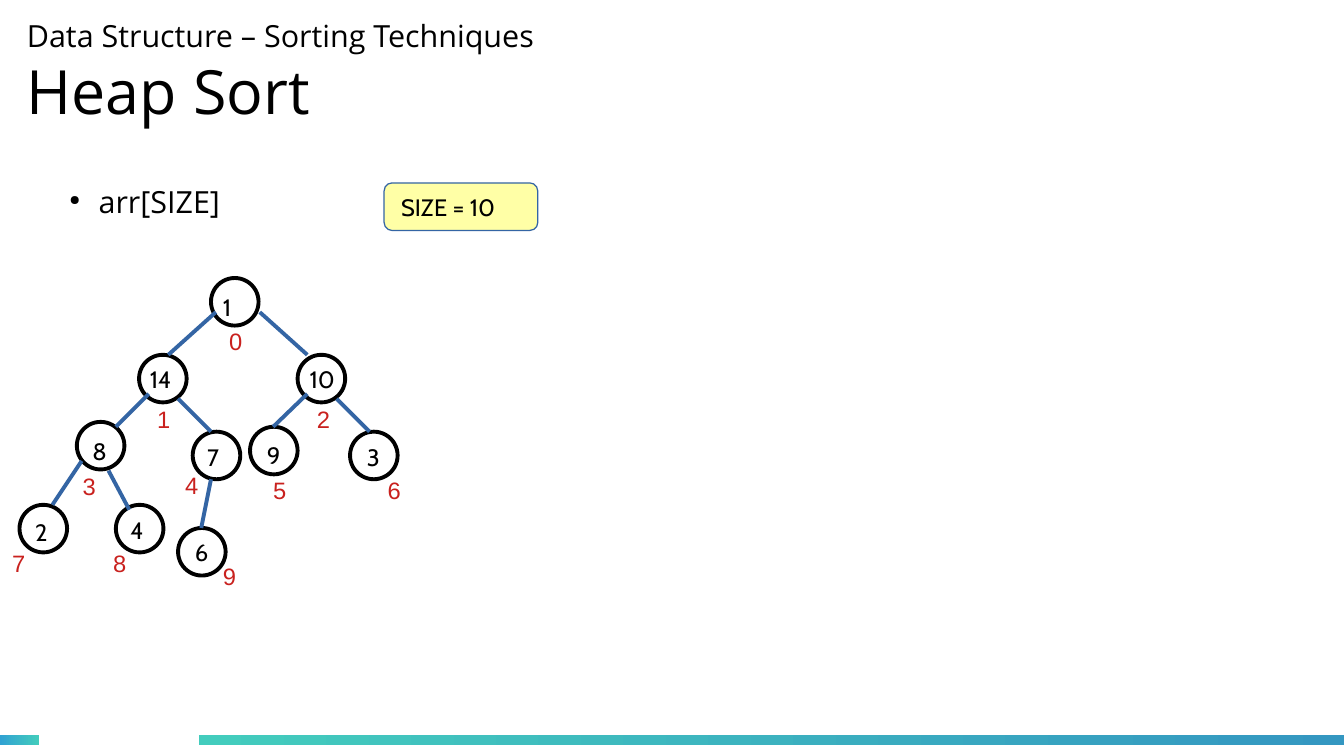
from lxml import etree
from pptx import Presentation
from pptx.dml.color import RGBColor
from pptx.enum.shapes import MSO_CONNECTOR, MSO_SHAPE
from pptx.enum.text import MSO_ANCHOR, MSO_AUTO_SIZE, PP_ALIGN
from pptx.oxml.ns import qn
from pptx.util import Inches, Pt

RECT, ROUNDED, OVAL = MSO_SHAPE.RECTANGLE, MSO_SHAPE.ROUNDED_RECTANGLE, MSO_SHAPE.OVAL
STRAIGHT = MSO_CONNECTOR.STRAIGHT
MIDDLE, LEFT = MSO_ANCHOR.MIDDLE, PP_ALIGN.LEFT
NO_FIT, GROW = MSO_AUTO_SIZE.NONE, MSO_AUTO_SIZE.SHAPE_TO_FIT_TEXT

COLORS = {
    "text": "000000", "node": "FFFFFF", "edge": "3465A4", "index": "C9211E",
    "badge": "FFFFA6", "teal": "43CCBD", "sky": "30A2D2", "ocean": "3497C1",
}
NODE_SIZE = 0.39
STROKE = 2.3

# Value, then places inside the tree box: circle, value label, index label
HEAP_NODES = [
    ("1", (1.73, 0), (1.73, 0.07), (1.78, 0.35)),
    ("14", (1.14, 0.63), (1.13, 0.66), (1.19, 0.99)),
    ("10", (2.44, 0.63), (2.44, 0.66), (2.5, 0.99)),
    ("8", (0.63, 1.18), (0.66, 1.25), (0.58, 1.54)),
    ("7", (1.58, 1.26), (1.6, 1.3), (1.42, 1.53)),
    ("9", (2.05, 1.22), (2.09, 1.29), (2.14, 1.57)),
    ("3", (2.87, 1.26), (2.91, 1.3), (3.08, 1.57)),
    ("2", (0.16, 1.86), (0.19, 1.92), (0, 2.17)),
    ("4", (0.95, 1.86), (0.97, 1.9), (0.83, 2.17)),
    ("6", (1.46, 2.05), (1.5, 2.08), (1.73, 2.28)),
]
# Parent end and child end of each edge, inside the tree box
HEAP_EDGES = [
    ((1.77, 0.28), (1.38, 0.63)), ((2.13, 0.28), (2.52, 0.63)),
    ((1.22, 0.95), (0.95, 1.22)), ((1.46, 0.99), (1.73, 1.26)),
    ((2.52, 0.95), (2.24, 1.22)), ((2.76, 0.99), (3.03, 1.26)),
    ((0.67, 1.5), (0.43, 1.86)), ((0.89, 1.58), (1.06, 1.9)),
    ((1.73, 1.65), (1.65, 2.05)),
]


def color(name):
    return RGBColor.from_string(COLORS[name])


def add_text(paragraph, text, *, size=14, font="Cabin", ink="text"):
    paragraph.alignment = LEFT
    run = paragraph.add_run()
    run.text = text
    run.font.size = Pt(size)
    run.font.name = font
    run.font.color.rgb = color(ink)


def add_label(slide, text, left, top, width, height, **text_format):
    label = slide.shapes.add_textbox(*map(Inches, (left, top, width, height)))
    label.text_frame.word_wrap = False
    label.text_frame.auto_size = GROW
    add_text(label.text_frame.paragraphs[0], text, **text_format)
    return label


def add_outlined(slide, kind, left, top, width, height, fill, line, weight):
    shape = slide.shapes.add_shape(kind, *map(Inches, (left, top, width, height)))
    shape.shadow.inherit = False
    shape.fill.solid()
    shape.fill.fore_color.rgb = color(fill)
    shape.line.color.rgb = color(line)
    shape.line.width = Pt(weight)
    return shape


def add_footer_bar(slide, left, top, width, height, start, end):
    bar = slide.shapes.add_shape(RECT, *map(Inches, (left, top, width, height)))
    bar.shadow.inherit = False
    bar.line.fill.background()
    bar.fill.gradient()
    bar.fill.gradient_angle = 0
    for stop, name in zip(bar.fill.gradient_stops, (start, end)):
        stop.color.rgb = color(name)


def fill_title(slide, left, top, width, height):
    title = slide.shapes.title
    title.left, title.top = Inches(left), Inches(top)
    title.width, title.height = Inches(width), Inches(height)
    frame = title.text_frame
    frame.margin_left = frame.margin_right = frame.margin_top = frame.margin_bottom = 0
    frame.vertical_anchor = MIDDLE
    frame.word_wrap = True
    frame.auto_size = NO_FIT
    heading = frame.paragraphs[0]
    add_text(heading, "Data Structure – Sorting Techniques", size=18, font="Open Sans")
    heading.add_line_break()
    add_text(heading, "Heap Sort", size=36, font="Open Sans")


def add_array_bullet(slide, left, top, width, height):
    bullet = add_label(slide, "arr[SIZE]", left, top, width, height,
                       size=18, font="Open Sans")
    properties = bullet.text_frame.paragraphs[0]._p.get_or_add_pPr()
    indent = Inches(0.24)
    properties.set("marL", str(indent))
    properties.set("indent", str(-indent))
    etree.SubElement(properties, qn("a:buSzPct"), val="45000")
    etree.SubElement(properties, qn("a:buChar"), char="●")


def add_size_badge(slide, left, top, width, height):
    badge = add_outlined(slide, ROUNDED, left, top, width, height, "badge", "edge", 0)
    frame = badge.text_frame
    frame.margin_left = Inches(0.12)
    frame.vertical_anchor = MIDDLE
    add_text(frame.paragraphs[0], "SIZE = 10")


def add_heap_tree(slide, left, top):
    # Nodes
    for value, (x, y), _, _ in HEAP_NODES:
        add_outlined(slide, OVAL, left + x, top + y, NODE_SIZE, NODE_SIZE,
                     "node", "text", STROKE)
    # Edges
    for (x1, y1), (x2, y2) in HEAP_EDGES:
        edge = slide.shapes.add_connector(
            STRAIGHT, *map(Inches, (left + x1, top + y1, left + x2, top + y2)))
        edge.line.color.rgb = color("edge")
        edge.line.width = Pt(STROKE)
        etree.SubElement(edge._element.spPr, qn("a:effectLst"))
    # Values and array indexes
    for index, (value, _, (vx, vy), (ix, iy)) in enumerate(HEAP_NODES):
        value_width = 0.2 + 0.12 * len(value)
        add_label(slide, value, left + vx, top + vy, value_width, 0.36)
        add_label(slide, str(index), left + ix, top + iy, 0.31, 0.32,
                  font="Arial", ink="index")


def build_heap_slide(deck):
    slide = deck.slides.add_slide(deck.slide_layouts[5])
    add_footer_bar(slide, 0, 6.03, 0.32, 0.08, "sky", "teal")
    add_footer_bar(slide, 1.63, 6.03, 9.4, 0.08, "teal", "ocean")
    fill_title(slide, 0.22, 0.08, 7.68, 1.02)
    add_array_bullet(slide, 0.47, 1.45, 1.63, 0.44)
    add_size_badge(slide, 3.15, 1.5, 1.26, 0.39)
    add_heap_tree(slide, 0, 2.28)


def main():
    deck = Presentation()
    deck.slide_width, deck.slide_height = Inches(11.02), Inches(6.2)
    build_heap_slide(deck)
    deck.save("out.pptx")


if __name__ == "__main__":
    main()
